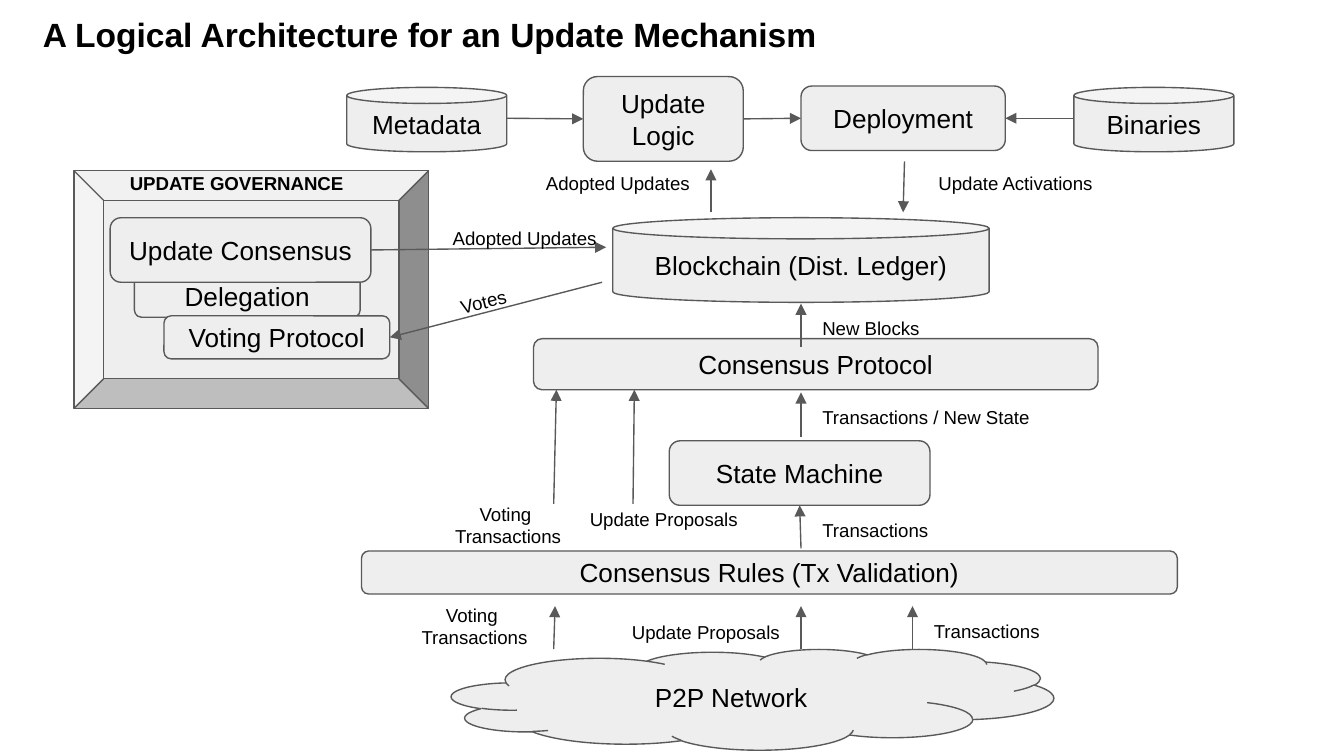
from lxml.etree import SubElement
from pptx import Presentation
from pptx.dml.color import RGBColor
from pptx.enum.shapes import MSO_CONNECTOR, MSO_SHAPE
from pptx.enum.text import MSO_ANCHOR, MSO_AUTO_SIZE, PP_ALIGN
from pptx.oxml.ns import qn
from pptx.util import Inches, Pt

BLACK = RGBColor(0x00, 0x00, 0x00)
GRAY = RGBColor(0x59, 0x59, 0x59)
PALE = RGBColor(0xEE, 0xEE, 0xEE)

LEFT, MID, RIGHT = PP_ALIGN.LEFT, PP_ALIGN.CENTER, PP_ALIGN.RIGHT
ROUND, CAN = MSO_SHAPE.ROUNDED_RECTANGLE, MSO_SHAPE.CAN

NODES = [
    ("Delegation", ROUND, 1, 2.04, 1.68, 0.32),
    ("P2P Network", MSO_SHAPE.CLOUD, 3.36, 4.83, 4.48, 0.75),
    ("Consensus Rules (Tx Validation)", ROUND, 2.69, 4.1, 6.07, 0.32),
    ("State Machine", ROUND, 4.98, 3.28, 1.94, 0.48),
    ("Consensus Protocol", ROUND, 3.97, 2.52, 4.2, 0.38),
    ("Blockchain (Dist. Ledger)", CAN, 4.56, 1.62, 2.8, 0.63),
    ("Voting Protocol", ROUND, 1.22, 2.35, 1.68, 0.32),
    ("Update Consensus", ROUND, 0.82, 1.62, 1.94, 0.48),
    ("Update\nLogic", ROUND, 4.34, 0.57, 1.19, 0.63),
    ("Metadata", CAN, 2.58, 0.65, 1.19, 0.48),
    ("Deployment", ROUND, 5.96, 0.64, 1.52, 0.48),
    ("Binaries", CAN, 7.99, 0.65, 1.19, 0.48),
]

ARROWS = [
    (4.12, 4.83, 4.13, 4.51),
    (5.96, 4.83, 5.96, 4.51),
    (6.79, 4.83, 6.79, 4.51),
    (4.12, 3.75, 4.14, 2.9),
    (4.71, 3.75, 4.72, 2.9),
    (5.96, 3.25, 5.96, 2.92),
    (5.96, 2.58, 5.96, 2.26),
    (5.29, 1.58, 5.29, 1.26),
    (6.73, 1.2, 6.72, 1.58),
]

JOINS = [
    ((5.96, 4.08, 5.96, 3.76), None, ("State Machine", 2)),
    ((2.76, 1.86, 4.51, 1.84), ("Update Consensus", 3), None),
    ((4.48, 2.1, 2.9, 2.51), None, ("Voting Protocol", 3)),
    ((3.77, 0.88, 4.34, 0.88), None, ("Update\nLogic", 1)),
    ((5.53, 0.88, 5.96, 0.88), ("Update\nLogic", 3), ("Deployment", 1)),
    ((7.99, 0.88, 7.48, 0.88), None, ("Deployment", 3)),
]

LABELS = [
    ("Transactions", 6.85, 4.51, 1, LEFT),
    ("Transactions", 6.02, 3.76, 1.52, LEFT),
    ("Transactions / New State", 6.02, 2.92, 2.03, LEFT),
    ("New Blocks", 6.02, 2.26, 2.03, LEFT),
    ("Update Proposals", 4.14, 4.52, 1.76, RIGHT),
    ("Update Proposals", 4.29, 3.68, 1.94, LEFT),
    ("Voting \nTransactions", 2.9, 3.64, 1.76, MID),
    ("Voting \nTransactions", 2.65, 4.39, 1.76, MID),
    ("Adopted Updates", 3.27, 1.59, 1.52, LEFT),
    ("Adopted Updates", 3.47, 1.18, 1.76, RIGHT),
    ("Update Activations", 6.85, 1.18, 1.41, MID),
]


def write(shape, text, size=10, bold=False, align=LEFT, anchor=MSO_ANCHOR.TOP):
    frame = shape.text_frame
    frame.word_wrap = True
    frame.auto_size = MSO_AUTO_SIZE.NONE
    frame.vertical_anchor = anchor
    frame.margin_left = frame.margin_right = Inches(0.1)
    frame.margin_top = frame.margin_bottom = Inches(0.1)
    frame.text = text
    for para in frame.paragraphs:
        para.alignment = align
        for run in para.runs:
            run.font.name = "Arial"
            run.font.size = Pt(size)
            run.font.bold = bold
            run.font.color.rgb = BLACK


def add_form(slide, kind, *box):
    shape = slide.shapes.add_shape(kind, *map(Inches, box))
    shape.shadow.inherit = False
    shape.fill.solid()
    shape.fill.fore_color.rgb = PALE
    shape.line.color.rgb = GRAY
    shape.line.width = Pt(0.75)
    return shape


def add_node(slide, text, kind, *box):
    shape = add_form(slide, kind, *box)
    write(shape, text, size=14, align=MID, anchor=MSO_ANCHOR.MIDDLE)
    return shape


def add_label(slide, text, left, top, width, align, height=0.32, **style):
    box = slide.shapes.add_textbox(*map(Inches, (left, top, width, height)))
    write(box, text, align=align, **style)
    return box


def add_arrow(slide, *ends):
    arrow = slide.shapes.add_connector(MSO_CONNECTOR.STRAIGHT, *map(Inches, ends))
    arrow.line.color.rgb = GRAY
    arrow.line.width = Pt(0.75)
    SubElement(arrow.line._get_or_add_ln(), qn("a:tailEnd"), type="triangle")
    SubElement(arrow._element.spPr, qn("a:effectLst"))
    return arrow


def main():
    deck = Presentation()
    deck.slide_width = Inches(10)
    deck.slide_height = deck.slide_width * 9 // 16
    slide = deck.slides.add_slide(deck.slide_layouts[6])

    add_label(slide, "A Logical Architecture for an Update Mechanism",
              0.22, 0, 8.9, LEFT, height=0.48, size=18, bold=True)
    add_form(slide, MSO_SHAPE.BEVEL, 0.55, 1.27, 2.64, 1.77)
    nodes = {node[0]: add_node(slide, *node) for node in NODES}

    for ends in ARROWS:
        add_arrow(slide, *ends)
    for ends, start, stop in JOINS:
        arrow = add_arrow(slide, *ends)
        if start:
            arrow.begin_connect(nodes[start[0]], start[1])
        if stop:
            arrow.end_connect(nodes[stop[0]], stop[1])

    for label in LABELS:
        add_label(slide, *label)
    add_label(slide, "UPDATE GOVERNANCE", 0.79, 1.18, 1.94, MID, bold=True)
    add_label(slide, "Votes", 3.09, 2.06, 1, MID).rotation = 345.9
    deck.save("out.pptx")


if __name__ == "__main__":
    main()
